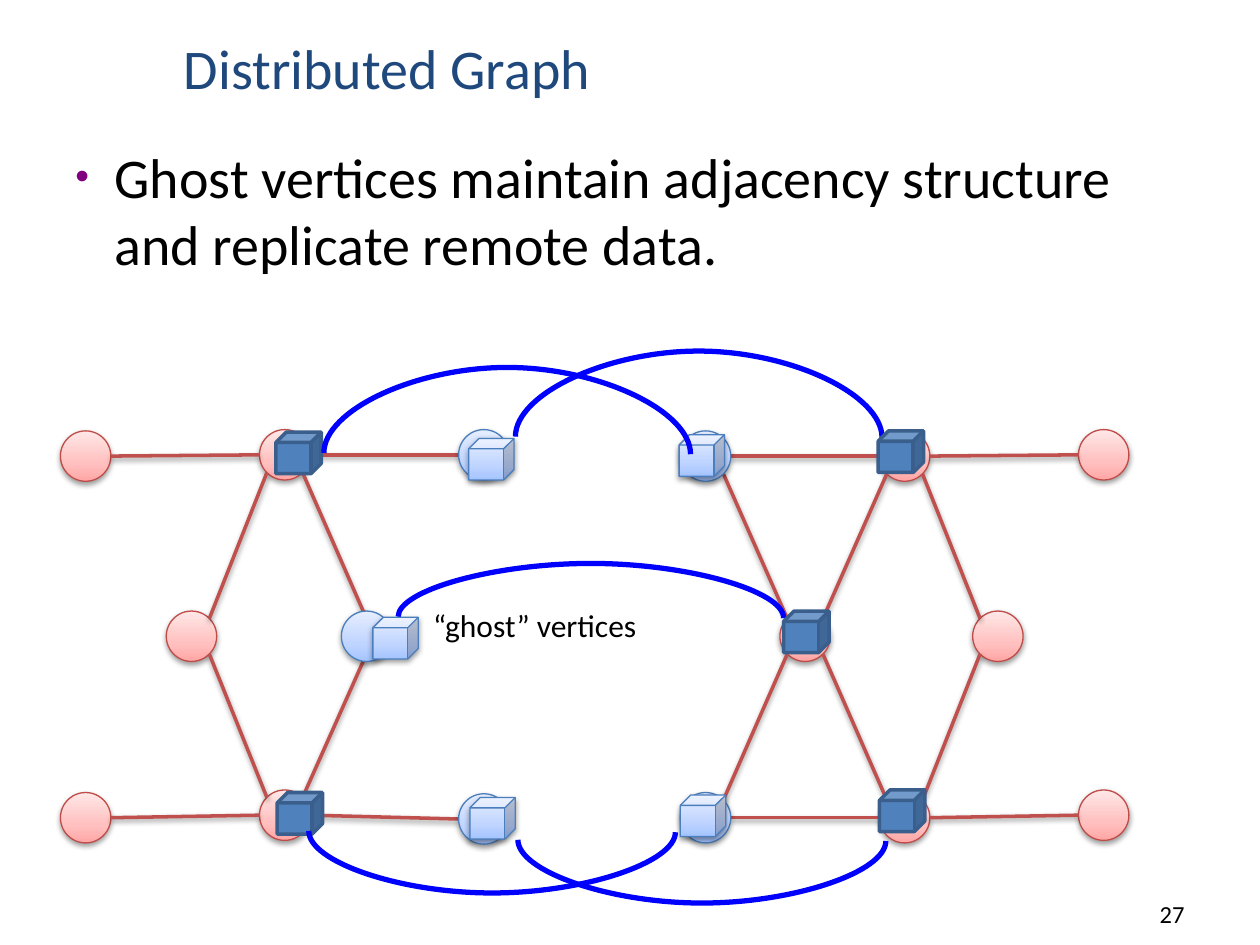
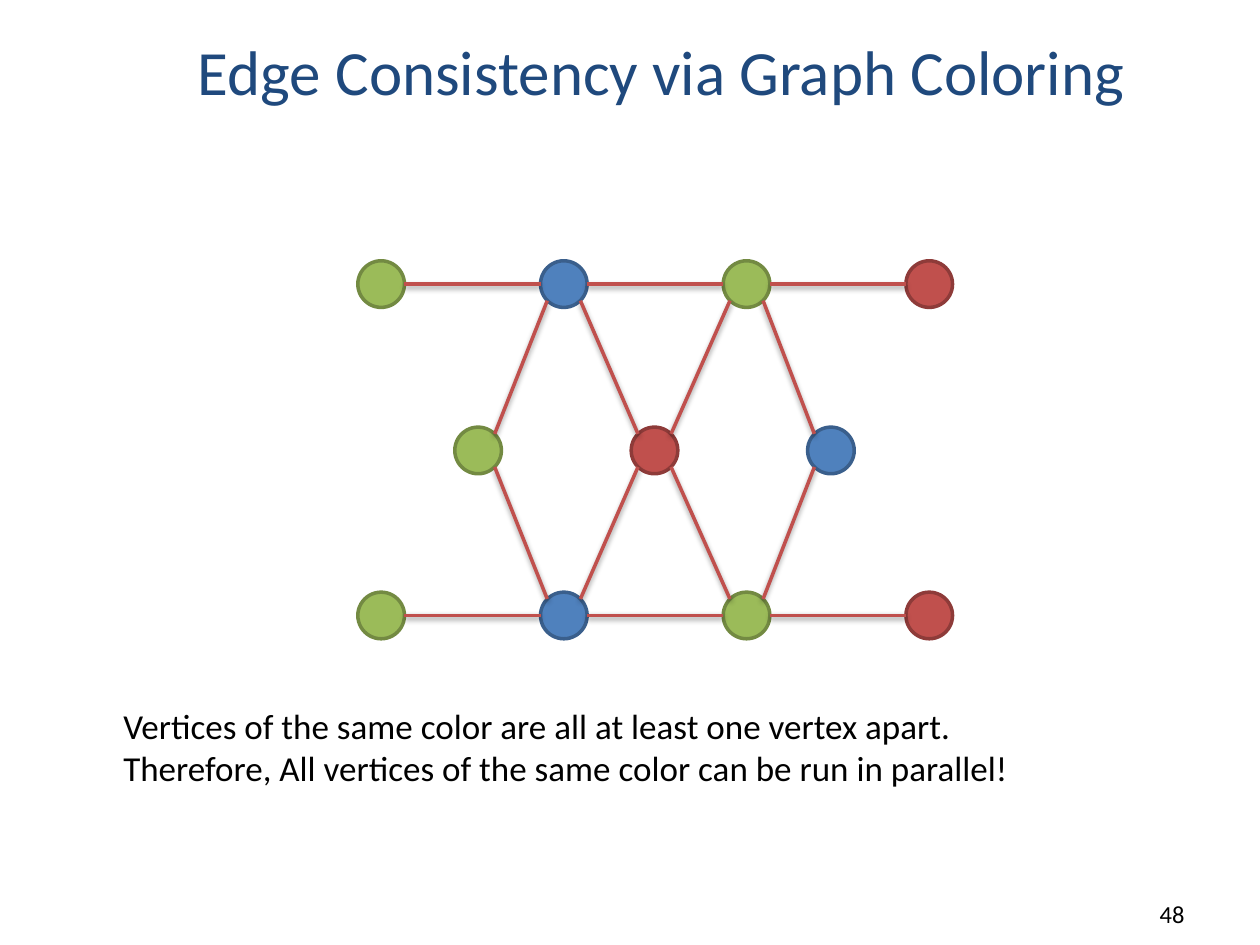
import pptx
import pptx.util
from pptx.dml.color import RGBColor
from pptx.enum.shapes import MSO_CONNECTOR, MSO_SHAPE
from pptx.enum.text import MSO_ANCHOR, PP_ALIGN
from pptx.oxml.ns import qn
from lxml import etree

# Shared look: 100 px to the inch
PX = 9144
FONT = "Calibri"
NAVY = RGBColor(0x1F, 0x49, 0x7D)
BLACK = RGBColor(0, 0, 0)
PURPLE = RGBColor(0x80, 0, 0x80)
LINK_BLUE = RGBColor(0, 0, 0xFF)
RED, DARK_RED = RGBColor(0xC0, 0x50, 0x4D), RGBColor(0x8E, 0x3B, 0x39)
BLUE, DARK_BLUE = RGBColor(0x4F, 0x81, 0xBD), RGBColor(0x3A, 0x5F, 0x8C)
GREEN, DARK_GREEN = RGBColor(0x9B, 0xBB, 0x59), RGBColor(0x73, 0x8A, 0x42)
PINK_EDGE, SKY_EDGE = RGBColor(0xBF, 0x4C, 0x48), RGBColor(0x4B, 0x7E, 0xBC)
PINKS = [(0, RGBColor(0xFF, 0xA6, 0xA5)), (35, RGBColor(0xFF, 0xC0, 0xBF)),
         (100, RGBColor(0xFF, 0xE7, 0xE7))]
SKIES = [(0, RGBColor(0xA4, 0xC4, 0xFF)), (35, RGBColor(0xBF, 0xD4, 0xFF)),
         (100, RGBColor(0xE6, 0xEE, 0xFF))]

# Each look: fill (one colour or gradient stops), outline, outline width in points
LOOKS = {
    "local": (PINKS, PINK_EDGE, 0.75),
    "ghost": (SKIES, SKY_EDGE, 0.75),
    "red": (RED, DARK_RED, 2),
    "blue": (BLUE, DARK_BLUE, 2),
    "green": (GREEN, DARK_GREEN, 2),
}

# Slide 1: vertices are left, top; "cut" marks where edges run under the middle ghost
DISTRIBUTED = {
    "title": ("Distributed Graph", 32, (136, 2, 882, 83)),
    "number": "27",
    "bullet": "Ghost vertices maintain adjacency structure and replicate remote data.",
    "label": "“ghost” vertices",
    "size": 40,
    "local": {
        "left": (132, 485), "left low": (206, 627), "far left low": (48, 629),
        "left top": (206, 341), "far left top": (48, 342),
        "middle": (619, 485), "right": (772, 485),
        "far right low": (856, 627), "right low": (698, 629),
        "far right top": (856, 341), "right top": (698, 342),
    },
    "ghost": {
        "ghost left": (271, 485), "ghost left top": (364, 341),
        "ghost left low": (364, 630), "ghost right low": (540, 629),
        "ghost right top": (540, 342),
    },
    "cut": (285, 485),
    "edges": [
        ("far left top", "left top"), ("left", "left top"), ("left top", "cut"),
        ("far left low", "left low"), ("left", "left low"), ("left low", "cut"),
        ("left top", "ghost left top"), ("left low", "ghost left low"),
        ("ghost right top", "right top"), ("right top", "far right top"),
        ("right top", "right"), ("middle", "right top"),
        ("ghost right low", "right low"), ("right low", "far right low"),
        ("right low", "right"), ("middle", "right low"),
        ("ghost right top", "middle"), ("ghost right low", "middle"),
    ],
    # Links are left, right, end height and bulge (negative goes up)
    "rear links": [(409, 700, 347, -69), (316, 622, 490, -43), (411, 703, 667, 51)],
    "front links": [(257, 548, 360, -69), (245, 536, 660, 50)],
    "cubes": [
        ("blue", 622, 485), ("blue", 697, 342), ("blue", 698, 627),
        ("ghost", 296, 490), ("ghost", 372, 348), ("ghost", 373, 633),
        ("blue", 219, 343), ("blue", 220, 629),
        ("ghost", 539, 345), ("ghost", 540, 631),
    ],
}

# Slide 2: rows of coloured vertices; the outer rows mirror each other
OUTER_ROW = ["green", "blue", "green", "red"]
MIDDLE_ROW = ["green", "red", "blue"]
COLORING = {
    "title": ("Edge Consistency via Graph Coloring", 36, (147, 8, 820, 83)),
    "number": "48",
    "caption": ["Vertices of the same color are all at least one vertex apart.",
                "Therefore, All vertices of the same color can be run in parallel!"],
    "size": 37,
    "rows": [("top", OUTER_ROW, 284, 145, 207), ("mid", MIDDLE_ROW, 361, 140, 339),
             ("low", OUTER_ROW, 284, 145, 470)],
    "spokes": [(1, 0), (1, 1), (2, 1), (2, 2)],  # outer column, middle column
}


def write(frame, lines, points, color=BLACK, align=PP_ALIGN.LEFT, anchor=MSO_ANCHOR.TOP):
    frame.word_wrap = True
    frame.vertical_anchor = anchor
    for i, line in enumerate(lines):
        paragraph = frame.paragraphs[0] if i == 0 else frame.add_paragraph()
        paragraph.alignment = align
        run = paragraph.add_run()
        run.text = line
        run.font.name, run.font.size = FONT, pptx.util.Pt(points)
        run.font.color.rgb = color


def add_text(slide, box, lines, points, **layout):
    frame = slide.shapes.add_textbox(*(v * PX for v in box)).text_frame
    write(frame, lines, points, **layout)
    return frame


def add_bullet(paragraph):
    props = paragraph._p.get_or_add_pPr()
    props.set("marL", str(31 * PX))
    props.set("indent", str(-31 * PX))
    color = etree.SubElement(props, qn("a:buClr"))
    etree.SubElement(color, qn("a:srgbClr"), val=str(PURPLE))
    etree.SubElement(props, qn("a:buSzPct"), val="70000")
    etree.SubElement(props, qn("a:buFont"), typeface="Arial")
    etree.SubElement(props, qn("a:buChar"), char="•")


def add_shadow(effects):
    shadow = etree.SubElement(effects, qn("a:outerShdw"), blurRad="40000", dist="20000",
                              dir="5400000", rotWithShape="0")
    color = etree.SubElement(shadow, qn("a:srgbClr"), val="000000")
    etree.SubElement(color, qn("a:alpha"), val="38000")


def add_node(slide, kind, look, left, top, width, height):
    fill, outline, weight = LOOKS[look]
    node = slide.shapes.add_shape(kind, left * PX, top * PX, width * PX, height * PX)
    node.line.color.rgb = outline
    node.line.width = pptx.util.Pt(weight)
    node.shadow.inherit = False
    props = node.element.spPr
    if isinstance(fill, RGBColor):
        node.fill.solid()
        node.fill.fore_color.rgb = fill
        return
    node.fill.gradient()
    node.fill.gradient_angle = 90
    stops = props.find(".//" + qn("a:gsLst"))
    for stop in list(stops):
        stops.remove(stop)
    for position, color in fill:
        stop = etree.SubElement(stops, qn("a:gs"), pos=str(position * 1000))
        etree.SubElement(stop, qn("a:srgbClr"), val=str(color))
    add_shadow(props.find(qn("a:effectLst")))


def add_line(slide, kind, start, end, color, weight):
    line = slide.shapes.add_connector(kind, *(round(v * PX) for v in (*start, *end)))
    line.line.color.rgb = color
    line.line.width = pptx.util.Pt(weight)
    effects = etree.SubElement(line.element.spPr, qn("a:effectLst"))
    return line, effects


def add_edge(slide, start, end, size):
    """Join two vertices: side to side within a row, corner to corner across rows."""
    dx, dy = end[0] - start[0], end[1] - start[1]
    radius = size / 2
    if abs(dy) < size:
        reach = (radius if dx > 0 else -radius, 0)
    else:
        corner = radius * 0.71
        reach = (corner if dx > 0 else -corner, corner if dy > 0 else -corner)
    begin = [p + radius + r for p, r in zip(start, reach)]
    finish = [p + radius - r for p, r in zip(end, reach)]
    _, effects = add_line(slide, MSO_CONNECTOR.STRAIGHT, begin, finish, RED, 2)
    add_shadow(effects)


def add_link(slide, left, right, y, bulge):
    """Draw an upright curve one px wide, then turn it so that it arches sideways."""
    middle, half = (left + right) / 2, (right - left) / 2
    link, _ = add_line(slide, MSO_CONNECTOR.CURVE, (middle - 0.5, y - half),
                       (middle + 0.5, y + half), LINK_BLUE, 3)
    props = link.element.spPr
    props.xfrm.set("rot", "16200000")
    props.xfrm.set("flipH", "1")
    guides = props.find(qn("a:prstGeom")).find(qn("a:avLst"))
    if guides is None:
        guides = etree.SubElement(props.find(qn("a:prstGeom")), qn("a:avLst"))
    etree.SubElement(guides, qn("a:gd"), name="adj1", fmla=f"val {bulge * 100000}")


def start_slide(deck, content):
    slide = deck.slides.add_slide(deck.slide_layouts[5])
    text, points, box = content["title"]
    title = slide.shapes.title
    title.left, title.top, title.width, title.height = (v * PX for v in box)
    write(title.text_frame, [text], points, color=NAVY, anchor=MSO_ANCHOR.BOTTOM)
    add_text(slide, (742, 692, 208, 50), [content["number"]], 14,
             align=PP_ALIGN.RIGHT, anchor=MSO_ANCHOR.BOTTOM)
    return slide


def build_distributed(deck):
    content = DISTRIBUTED
    slide, size = start_slide(deck, content), content["size"]
    body = add_text(slide, (50, 108, 908, 186), [content["bullet"]], 32)
    add_bullet(body.paragraphs[0])

    # Local vertices, edges, then the ghosts on top
    places = {**content["local"], **content["ghost"], "cut": content["cut"]}
    for place in content["local"].values():
        add_node(slide, MSO_SHAPE.OVAL, "local", *place, size, size)
    for start, end in content["edges"]:
        add_edge(slide, places[start], places[end], size)
    for place in content["ghost"].values():
        add_node(slide, MSO_SHAPE.OVAL, "ghost", *place, size, size)
    add_text(slide, (334, 476, 257, 50), [content["label"]], 18)

    # Data cubes and the links between their replicas
    for link in content["rear links"]:
        add_link(slide, *link)
    for look, left, top in content["cubes"]:
        add_node(slide, MSO_SHAPE.CUBE, look, left, top, 36, 33)
    for link in content["front links"]:
        add_link(slide, *link)


def build_coloring(deck):
    content = COLORING
    slide, size = start_slide(deck, content), content["size"]

    # Vertices by row
    places = {}
    for row, colors, left, step, top in content["rows"]:
        for column, color in enumerate(colors):
            places[row, column] = (left + column * step, top)
            add_node(slide, MSO_SHAPE.OVAL, color, *places[row, column], size, size)

    # Edges along the outer rows and across to the middle row
    for row in ("top", "low"):
        for column in range(len(OUTER_ROW) - 1):
            add_edge(slide, places[row, column], places[row, column + 1], size)
        for outer, middle in content["spokes"]:
            add_edge(slide, places[row, outer], places["mid", middle], size)
    add_text(slide, (88, 554, 858, 77), content["caption"], 20)


def main():
    deck = pptx.Presentation()
    deck.slide_width, deck.slide_height = 1000 * PX, 750 * PX
    build_distributed(deck)
    build_coloring(deck)
    deck.save("out.pptx")


if __name__ == "__main__":
    main()
